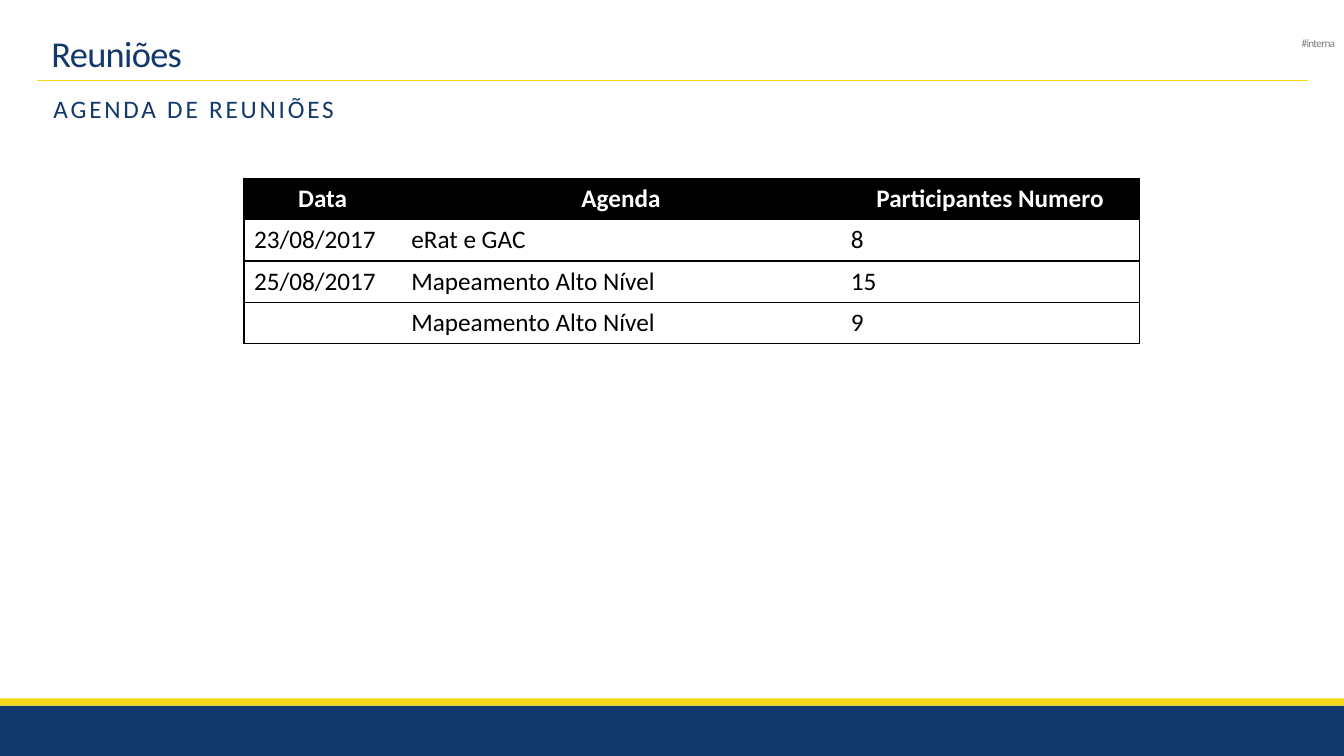
from dataclasses import dataclass

from lxml.etree import SubElement
from pptx import Presentation
from pptx.dml.color import RGBColor
from pptx.enum.shapes import MSO_CONNECTOR, MSO_SHAPE
from pptx.enum.text import MSO_ANCHOR as Anchor, PP_ALIGN as Align
from pptx.oxml.ns import qn
from pptx.slide import Slide
from pptx.table import _Cell as Cell
from pptx.util import Inches, Pt

FONT = "Calibri"
NAVY, YELLOW, GRAY = "13386B", "F7D916", "808080"
BLACK, WHITE = "000000", "FFFFFF"
WIDTH, HEIGHT = 13.33, 7.5


@dataclass
class Band:
    top: float
    height: float
    color: str


@dataclass
class Label:
    text: str
    left: float
    top: float
    width: float
    height: float
    size: int
    color: str
    tracking: float
    line_spacing: float
    inset: float = 0.1
    align: Align = Align.LEFT
    anchor: Anchor = Anchor.TOP


BANDS = [Band(7, 0.5, NAVY), Band(6.93, 0.07, YELLOW)]
LABELS = [
    Label("#interna", 12.62, 0.32, 0.72, 0.22, 8, GRAY, -0.5, 0.85,
          align=Align.RIGHT, anchor=Anchor.BOTTOM),
    Label("Reuniões", 0.37, 0.32, 12.04, 0.48, 26, NAVY, -0.5, 0.85,
          inset=0.14, anchor=Anchor.MIDDLE),
    Label("AGENDA DE REUNIÕES", 0.37, 0.91, 12.6, 0.38, 18, NAVY, 2, 0.9,
          inset=0.16),
]
COLUMN_WIDTHS = [1.56, 4.36, 2.96]
ROW_HEIGHT = 0.41
MEETINGS = [
    ["Data", "Agenda", "Participantes Numero"],
    ["23/08/2017", "eRat e GAC", "8"],
    ["25/08/2017", "Mapeamento Alto Nível", "15"],
    ["", "Mapeamento Alto Nível", "9"],
]


def rgb(color: str) -> RGBColor:
    return RGBColor.from_string(color)


def add_band(page: Slide, band: Band) -> None:
    bar = page.shapes.add_shape(MSO_SHAPE.RECTANGLE, 0, Inches(band.top),
                                Inches(WIDTH), Inches(band.height))
    bar.shadow.inherit = False
    bar.fill.solid()
    bar.fill.fore_color.rgb = rgb(band.color)
    bar.line.fill.background()


def add_title_rule(page: Slide) -> None:
    rule = page.shapes.add_connector(MSO_CONNECTOR.STRAIGHT, Inches(0.37), Inches(0.8),
                                     Inches(12.97), Inches(0.8))
    rule.line.color.rgb = rgb(YELLOW)
    rule.line.width = Pt(0.75)
    SubElement(rule._element.spPr, qn("a:effectLst"))


def add_label(page: Slide, label: Label) -> None:
    box = page.shapes.add_textbox(Inches(label.left), Inches(label.top),
                                  Inches(label.width), Inches(label.height))
    frame = box.text_frame
    frame.word_wrap = True
    frame.margin_left = Inches(label.inset)
    frame.vertical_anchor = label.anchor
    para = frame.paragraphs[0]
    para.alignment = label.align
    para.line_spacing = label.line_spacing
    para.font.name = FONT
    para.font.size = Pt(label.size)
    para.font.color.rgb = rgb(label.color)
    span = para.add_run()
    span.text = label.text
    span._r.get_or_add_rPr().set("spc", str(int(label.tracking * 100)))


def set_borders(cell: Cell, sides: dict[str, bool]) -> None:
    """Draw a thin black line on each side marked true and none on the others."""
    properties = cell._tc.get_or_add_tcPr()
    for index, (side, visible) in enumerate(sides.items()):
        line = properties.makeelement(qn(f"a:{side}"), {"w": str(Pt(1))})
        properties.insert(index, line)
        if visible:
            fill = SubElement(line, qn("a:solidFill"))
            SubElement(fill, qn("a:srgbClr"), val=BLACK)
        else:
            SubElement(line, qn("a:noFill"))


def add_meetings(page: Slide) -> None:
    rows, columns = len(MEETINGS), len(COLUMN_WIDTHS)
    table = page.shapes.add_table(rows, columns, Inches(2.42), Inches(1.77),
                                  Inches(sum(COLUMN_WIDTHS)),
                                  Inches(ROW_HEIGHT * rows)).table
    for column, width in zip(table.columns, COLUMN_WIDTHS):
        column.width = Inches(width)
    for row_index, meeting in enumerate(MEETINGS):
        table.rows[row_index].height = Inches(ROW_HEIGHT)
        header = row_index == 0
        for column_index, text in enumerate(meeting):
            cell = table.cell(row_index, column_index)
            cell.text = text
            cell.fill.solid()
            cell.fill.fore_color.rgb = rgb(BLACK if header else WHITE)
            para = cell.text_frame.paragraphs[0]
            para.alignment = Align.CENTER if header else Align.LEFT
            para.font.name = FONT
            para.font.size = Pt(18)
            para.font.bold = header
            para.font.color.rgb = rgb(WHITE if header else BLACK)
            set_borders(cell, {"lnL": column_index == 0,
                               "lnR": column_index == columns - 1,
                               "lnT": True, "lnB": True})


def main() -> None:
    deck = Presentation()
    deck.slide_width, deck.slide_height = Inches(WIDTH), Inches(HEIGHT)
    page = deck.slides.add_slide(deck.slide_layouts[6])
    for band in BANDS:
        add_band(page, band)
    add_title_rule(page)
    for label in LABELS:
        add_label(page, label)
    add_meetings(page)
    deck.save("out.pptx")


if __name__ == "__main__":
    main()
